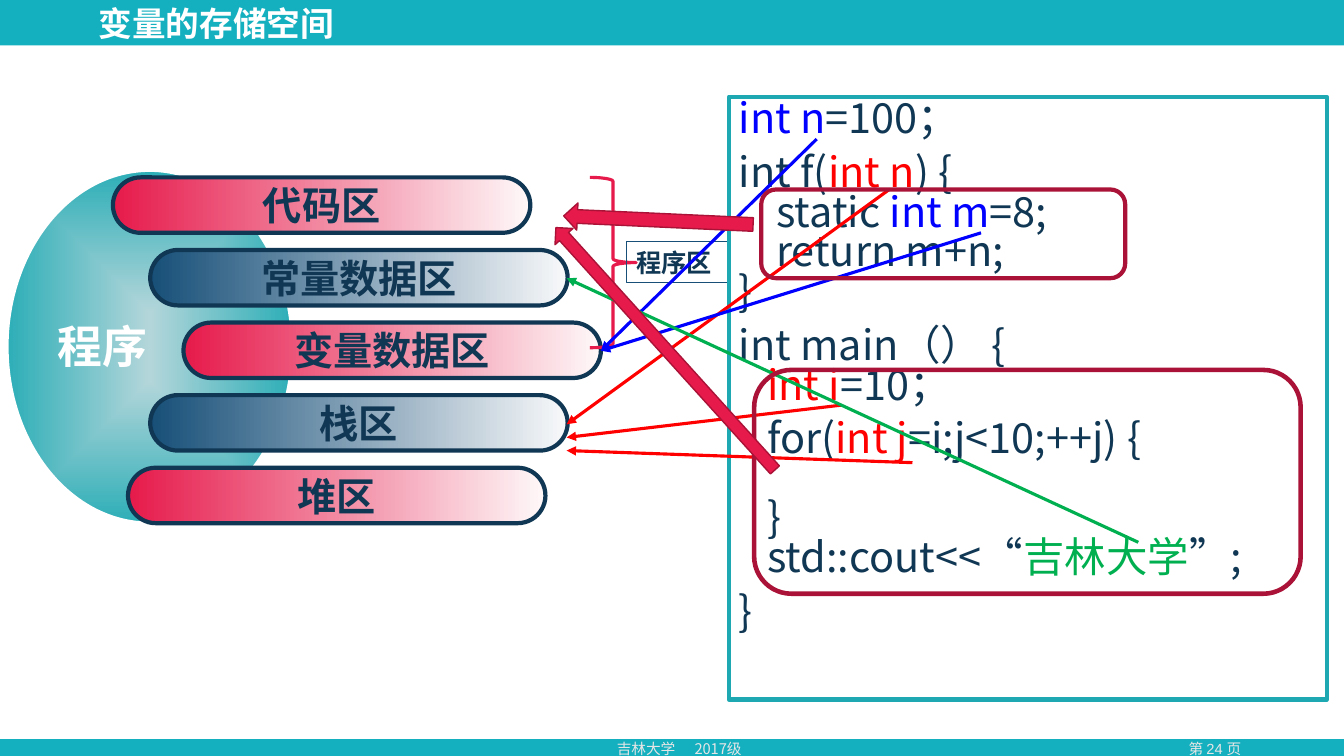
from dataclasses import dataclass

from lxml import etree
from pptx import Presentation
from pptx.dml.color import RGBColor
from pptx.enum.shapes import MSO_CONNECTOR as Connector, MSO_SHAPE as Shape
from pptx.enum.text import MSO_ANCHOR as Anchor, PP_ALIGN as Align
from pptx.oxml import parse_xml
from pptx.oxml.ns import nsdecls, qn
from pptx.util import Inches, Pt

COLUMNS, ROWS = 13.33, 7.5
CELL = Inches(1)
SANS, LATIN = "Noto Sans CJK SC", "Arial"
COLORS = {
    "band": "14B0C0", "white": "FFFFFF", "footer": "E7E6E6", "navy": "103754",
    "steel": "174F78", "mist": "F8F9FA", "crimson": "E61A4B", "blush": "FEF8F9",
    "wine": "AA1337", "teal": "2DAEB7", "pale": "B3D6DA", "frame": "1DA8B2",
    "blue": "0000FF", "red": "FF0000", "green": "00B050",
}


@dataclass
class Box:
    left: float
    top: float
    width: float
    height: float

    def inner(self, left, top, width, height):
        return Box(self.left + left, self.top + top, width, height)

    def point(self, x, y):
        return self.left + x, self.top + y

    def lengths(self):
        return [round(n * CELL) for n in (self.left, self.top, self.width, self.height)]


def rgb(name):
    return RGBColor.from_string(COLORS[name])


def add_run(paragraph, text, size, font, color, bold=False):
    run = paragraph.add_run()
    run.text = text
    run.font.size, run.font.name, run.font.bold = Pt(size), font, bold
    run.font.color.rgb = rgb(color)
    east_asian = etree.SubElement(run._r.get_or_add_rPr(), qn("a:ea"))
    east_asian.set("typeface", SANS)
    return run


def write(shape, text, size=28, font=LATIN, color="navy", bold=False,
          align=Align.LEFT, anchor=Anchor.TOP, wrap=True):
    frame = shape.text_frame
    frame.word_wrap, frame.vertical_anchor = wrap, anchor
    paragraph = frame.paragraphs[0]
    paragraph.alignment = align
    return add_run(paragraph, text, size, font, color, bold)


def add_text(slide, box, text, **style):
    return write(slide.shapes.add_textbox(*box.lengths()), text, **style)


def add_shape(slide, kind, box, fill=None, line=None, weight=1, corner=None, rotation=0):
    shape = slide.shapes.add_shape(kind, *box.lengths())
    shape.shadow.inherit = False
    shape.rotation = rotation
    if corner is not None:
        shape.adjustments[0] = corner
    if isinstance(fill, tuple):
        shape.fill.gradient()
        shape.fill.gradient_angle = 0
        for stop, color in zip(shape.fill.gradient_stops, fill):
            stop.color.rgb = rgb(color)
    elif fill:
        shape.fill.solid()
        shape.fill.fore_color.rgb = rgb(fill)
    else:
        shape.fill.background()
    if line:
        shape.line.color.rgb = rgb(line)
        shape.line.width = Pt(weight)
    else:
        shape.line.fill.background()
    return shape


def make_radial(shape):
    linear = shape._element.spPr.find(".//" + qn("a:lin"))
    linear.getparent().replace(linear, parse_xml(
        f'<a:path {nsdecls("a")} path="shape">'
        '<a:fillToRect l="50000" t="50000" r="50000" b="50000"/></a:path>'))


def add_text_shadow(run):
    effects = parse_xml(
        f'<a:effectLst {nsdecls("a")}><a:outerShdw dist="38100" dir="2700000">'
        '<a:srgbClr val="000000"/></a:outerShdw></a:effectLst>')
    run._r.get_or_add_rPr().find(qn("a:solidFill")).addnext(effects)


def add_arrow(slide, start, end, color):
    ends = [round(n * CELL) for n in (*start, *end)]
    arrow = slide.shapes.add_connector(Connector.STRAIGHT, *ends)
    arrow.line.color.rgb = rgb(color)
    arrow.line.width = Pt(2.25)
    etree.SubElement(arrow.line._get_or_add_ln(), qn("a:tailEnd")).set("type", "triangle")
    etree.SubElement(arrow._element.spPr, qn("a:effectLst"))


def draw_frame(slide, box):
    add_shape(slide, Shape.RECTANGLE, box, fill="band")
    add_shape(slide, Shape.RECTANGLE, box.inner(0, 0.45, box.width, 6.88), fill="white")
    add_text(slide, box.inner(0.88, 0.03, 7.68, 0.39), "变量的存储空间", size=24,
             font=SANS, color="white", bold=True, anchor=Anchor.MIDDLE)
    footers = [(6.02, 0.9, "吉林大学", SANS, Align.LEFT),
               (6.79, 0.9, "2017级", SANS, Align.LEFT),
               (11.32, 1.46, "第 24 页", LATIN, Align.CENTER)]
    for left, width, text, font, align in footers:
        add_text(slide, box.inner(left, 7.29, width, 0.28), text, size=10.5,
                 font=font, color="footer", align=align)


def draw_memory_areas(slide, box):
    program = add_shape(slide, Shape.OVAL, box.inner(0, 0, 2.83, 3.5),
                        fill=("pale", "teal"), line="white", weight=2.25)
    make_radial(program)
    areas = [(1.05, "代码区"), (1.42, "常量数据区"), (1.75, "变量数据区"),
             (1.42, "栈区"), (1.2, "堆区")]
    fills = [("crimson", "blush"), ("steel", "mist")]
    for row, (left, name) in enumerate(areas):
        pill = add_shape(slide, Shape.ROUNDED_RECTANGLE,
                         box.inner(left, 0.07 + 0.72 * row, 4.14, 0.55),
                         fill=fills[row % 2], line="navy", weight=3, corner=0.5)
        write(pill, name, bold=True, align=Align.CENTER, anchor=Anchor.MIDDLE, wrap=False)
    label = add_text(slide, box.inner(0.4, 1.42, 1.1, 0.64), "程序", size=32,
                     color="white", bold=True, align=Align.CENTER)
    add_text_shadow(label)
    add_shape(slide, Shape.RIGHT_BRACE, box.inner(5.78, 0.07, 0.46, 1.69),
              line="crimson", weight=2.25)
    region = add_shape(slide, Shape.RECTANGLE, box.inner(6.14, 0.71, 1.02, 0.4),
                       line="steel", weight=0.75)
    write(region, "程序区", size=18, bold=True)


def draw_code(slide, box):
    body, block = 0.37, 0.28
    listing = [
        (0, 10, [("int n", "blue"), ("=100；", "navy")]),
        (0, 10, [("int f(", "navy"), ("int n", "red"), (") {", "navy")]),
        (body, 0, [("static ", "navy"), ("int m", "blue"), ("=8;", "navy")]),
        (body, 0, [("return m+n;", "navy")]),
        (0, 0, [("}", "navy")]),
        (0, 10, [("int main（） {", "navy")]),
        (block, 0, [("int i", "red"), ("=10；", "navy")]),
        (block, 10, [("for(", "navy"), ("int j", "red"), ("=i;j<10;++j) {", "navy")]),
        (block, 28, [("}", "navy")]),
        (block, 0, [("std::cout<<“", "navy"), ("吉林大学", "green"), ("”;", "navy")]),
        (0, 10, [("}", "navy")]),
    ]
    panel = add_shape(slide, Shape.RECTANGLE, box, line="frame", weight=3)
    frame = panel.text_frame
    frame.word_wrap, frame.vertical_anchor = True, Anchor.TOP
    for row, (indent, gap, parts) in enumerate(listing):
        paragraph = frame.add_paragraph() if row else frame.paragraphs[0]
        paragraph.alignment = Align.LEFT
        paragraph.line_spacing, paragraph.space_before = 0.8, Pt(gap)
        paragraph._p.get_or_add_pPr().set("marL", str(Inches(indent)))
        for text, color in parts:
            add_run(paragraph, text, 29.6, SANS, color)


def draw_links(slide, box):
    stack, data, constants = (5.62, 4.34), (5.96, 3.48), (5.62, 2.76)
    links = [
        ((8.82, 1.88), (stack[0], stack[1] - 0.13), "red"),
        ((8.34, 4.02), stack, "red"),
        ((9.73, 2.31), data, "blue"),
        ((8.1, 1.38), data, "blue"),
        ((9.05, 4.59), (stack[0], stack[1] + 0.13), "red"),
        ((11.29, 5.38), constants, "green"),
    ]
    for start, end, color in links:
        add_arrow(slide, box.point(*start), box.point(*end), color)
    for outline, weight in [((7.55, 1.88, 3.61, 0.88), 3), ((7.48, 3.67, 5.42, 2.22), 3.25)]:
        add_shape(slide, Shape.ROUNDED_RECTANGLE, box.inner(*outline),
                  line="wine", weight=weight)
    for place, angle in [((5.59, 2.05, 1.88, 0.27), 2.6), ((4.98, 3.34, 3.24, 0.24), 47.9)]:
        add_shape(slide, Shape.LEFT_ARROW, box.inner(*place), fill="crimson",
                  line="wine", rotation=angle)


def main():
    presentation = Presentation()
    presentation.slide_width, presentation.slide_height = Inches(COLUMNS), Inches(ROWS)
    slide = presentation.slides.add_slide(presentation.slide_layouts[6])
    page = Box(0, 0, COLUMNS, ROWS)
    draw_frame(slide, page)
    draw_memory_areas(slide, page.inner(0.07, 1.69, 7.16, 3.5))
    draw_code(slide, page.inner(7.23, 0.96, 5.93, 5.98))
    draw_links(slide, page)
    presentation.save("out.pptx")


if __name__ == "__main__":
    main()
